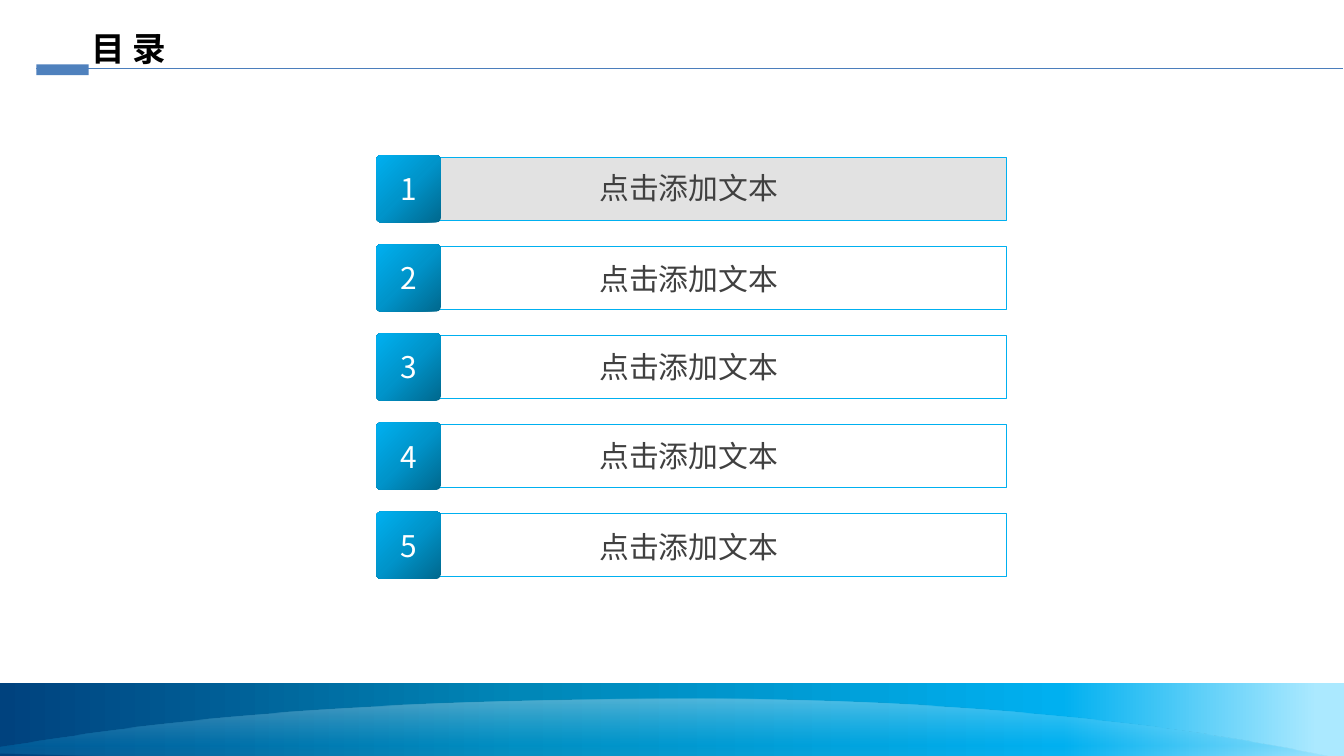
"""Build a contents slide with five numbered entries."""
from lxml import etree
from pptx import Presentation
from pptx.dml.color import RGBColor
from pptx.enum.shapes import MSO_CONNECTOR, MSO_SHAPE
from pptx.enum.text import MSO_ANCHOR, MSO_AUTO_SIZE, PP_ALIGN
from pptx.oxml.ns import qn
from pptx.util import Inches, Pt

RECT, ROUNDED = MSO_SHAPE.RECTANGLE, MSO_SHAPE.ROUNDED_RECTANGLE
STRAIGHT = MSO_CONNECTOR.STRAIGHT
LEFT, CENTER = PP_ALIGN.LEFT, PP_ALIGN.CENTER
TOP, MIDDLE = MSO_ANCHOR.TOP, MSO_ANCHOR.MIDDLE
FIT = MSO_AUTO_SIZE.SHAPE_TO_FIT_TEXT

THEME = {
    "font": "Noto Sans CJK SC", "title_size": 18, "item_size": 16,
    "title": "000000", "text": "404040", "white": "FFFFFF",
    "accent": "4F81BD", "rule": "4B7EBC", "border": "00B0F0", "active": "E2E2E2",
    "badge": [(0, "00688E", 100), (50, "0094CA", 100), (100, "00B0F0", 100)],
    "footer": [(0, "00427E", 100), (39, "0087B8", 100), (79, "00B0F0", 100), (98, "ABE9FF", 100)],
    "wave": [(0, "FFFFFF", 31), (50, "00B0F0", 20), (100, "FFFFFF", 0)],
}
ITEMS = ["点击添加文本"] * 5
LABEL_DROPS = [0.4, 0.6, 0.5, 0.5, 0.6]
WAVE = [(-3.3, 56.3), (5.1, 54.9), (17.3, 52.3), (51.6, 52.1), (71, 52), (94.1, 54.2), (108.9, 58.6)]

prs = Presentation()
prs.slide_width, prs.slide_height = Inches(10), Inches(5.625)
UNIT = prs.slide_width // 100
FIRST_ROW, PITCH = 11.7, 6.63


def paint_gradient(shape, stops, angle):
    """Fill a shape with (position, colour, opacity) stops."""
    shape.shadow.inherit = False
    shape.line.fill.background()
    shape.fill.gradient()
    shape.fill.gradient_angle = angle
    stop_list = shape._element.spPr.find(qn("a:gradFill")).find(qn("a:gsLst"))
    stop_list.clear()
    for position, color, opacity in stops:
        stop = etree.SubElement(stop_list, qn("a:gs"), pos=str(position * 1000))
        rgb = etree.SubElement(stop, qn("a:srgbClr"), val=color)
        if opacity < 100:
            etree.SubElement(rgb, qn("a:alpha"), val=str(opacity * 1000))


def write(shape, text, size, color, align, anchor, bold=False):
    """Set one formatted paragraph in a shape."""
    tf = shape.text_frame
    tf.text, tf.vertical_anchor = text, anchor
    p = tf.paragraphs[0]
    p.alignment = align
    p.font.size, p.font.bold, p.font.name = Pt(size), bold, THEME["font"]
    p.font.color.rgb = RGBColor.from_string(color)
    defaults = p._p.pPr.find(qn("a:defRPr"))
    etree.SubElement(defaults, qn("a:ea"), typeface=THEME["font"])
    return tf


s = prs.slides.add_slide(prs.slide_layouts[5])

footer = s.shapes.add_shape(RECT, 0, int(50.8 * UNIT), prs.slide_width, int(5.45 * UNIT))
paint_gradient(footer, THEME["footer"], 0)

rule = s.shapes.add_connector(STRAIGHT, *(int(v * UNIT) for v in (2.7, 5.1, 99.9, 5.1)))
rule.line.color.rgb, rule.line.width = RGBColor.from_string(THEME["rule"]), Pt(0.75)
etree.SubElement(rule._element.spPr, qn("a:effectLst"))

builder = s.shapes.build_freeform(*WAVE[0], scale=UNIT)
builder.add_line_segments(WAVE[1:], close=False)
wave = builder.convert_to_shape()
segments = list(wave._element.iter(qn("a:lnTo")))
for i in range(0, len(segments), 3):
    curve = etree.SubElement(segments[i].getparent(), qn("a:cubicBezTo"))
    for segment in segments[i:i + 3]:
        curve.append(segment[0])
        segment.getparent().remove(segment)
paint_gradient(wave, THEME["wave"], 270)

marker = s.shapes.add_shape(RECT, *(int(v * UNIT) for v in (2.7, 4.8, 3.9, 0.8)))
marker.shadow.inherit = False
marker.fill.solid()
marker.fill.fore_color.rgb = RGBColor.from_string(THEME["accent"])
marker.line.fill.background()

title = s.shapes.title
title.left, title.top, title.width, title.height = (int(v * UNIT) for v in (5.8, 1.6, 7.8, 4))
tf = write(title, "目 录", THEME["title_size"], THEME["title"], LEFT, TOP, bold=True)
tf.word_wrap, tf.auto_size = False, FIT

for i, (item, drop) in enumerate(zip(ITEMS, LABEL_DROPS)):
    top = FIRST_ROW + i * PITCH
    entry = s.shapes.add_group_shape().shapes

    bar = entry.add_shape(RECT, *(int(v * UNIT) for v in (31, top, 43.9, 4.7)))
    bar.shadow.inherit = False
    bar.fill.solid()
    bar.fill.fore_color.rgb = RGBColor.from_string(THEME["white" if i else "active"])
    bar.line.color.rgb, bar.line.width = RGBColor.from_string(THEME["border"]), Pt(0.25)

    badge = entry.add_shape(ROUNDED, *(int(v * UNIT) for v in (28, top - 0.15, 4.8, 5)))
    badge.adjustments[0] = 0.07
    paint_gradient(badge, THEME["badge"], 135)
    write(badge, str(i + 1), THEME["item_size"], THEME["white"], CENTER, MIDDLE)

    label = entry.add_textbox(*(int(v * UNIT) for v in (38.2, top + drop, 26.1, 3.7)))
    tf = write(label, item, THEME["item_size"], THEME["text"], CENTER, TOP)
    tf.word_wrap, tf.auto_size = True, FIT

prs.save("out.pptx")
